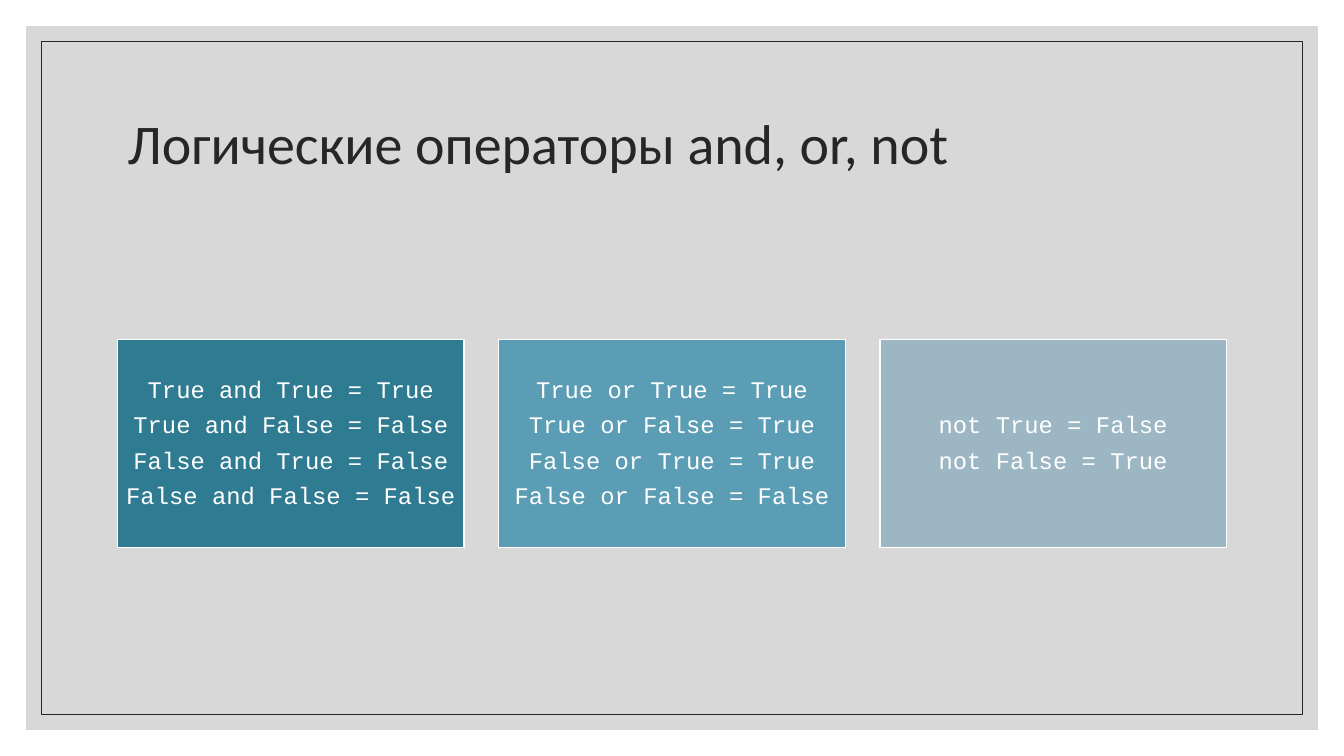
from lxml import etree
from pptx import Presentation
from pptx.dml.color import RGBColor
from pptx.enum.shapes import MSO_SHAPE as Shape
from pptx.enum.text import MSO_ANCHOR as Anchor, MSO_AUTO_SIZE as AutoSize, PP_ALIGN as Align
from pptx.oxml.ns import qn
from pptx.util import Pt

WHITE = RGBColor(0xFF, 0xFF, 0xFF)
INK = RGBColor(0x26, 0x26, 0x26)
GRAY = RGBColor(0xBF, 0xBF, 0xBF)
TEAL = RGBColor(0x2F, 0x7B, 0x91)
BLUE = RGBColor(0x5B, 0x9D, 0xB5)
MIST = RGBColor(0x9C, 0xB7, 0xC3)

WIDTH, HEIGHT = 960, 540
TITLE = "Логические операторы and, or, not"
OPERATORS = [
    (TEAL, ["True and True = True", "True and False = False",
            "False and True = False", "False and False = False"]),
    (BLUE, ["True or True = True", "True or False = True",
            "False or True = True", "False or False = False"]),
    (MIST, ["not True = False", "not False = True"]),
]
TITLE_FONT = {"name": "Calibri", "size": Pt(40)}
CODE_FONT = {"name": "Courier New", "size": Pt(17)}
TITLE_FRAME = {"word_wrap": True, "auto_size": AutoSize.NONE, "vertical_anchor": Anchor.MIDDLE}
CARD_FRAME = TITLE_FRAME | dict.fromkeys(
    ["margin_left", "margin_top", "margin_right", "margin_bottom"], Pt(5))
TITLE_PARAGRAPH = {"alignment": Align.LEFT, "line_spacing": 0.9}
CODE_PARAGRAPH = {"alignment": Align.CENTER, "line_spacing": 0.9, "space_after": Pt(7)}


def apply_format(target, values):
    """Set every attribute named in the format values."""
    for name, value in values.items():
        setattr(target, name, value)


def place(shape, box):
    """Move a shape to a box given in points."""
    apply_format(shape, dict(zip(("left", "top", "width", "height"), map(Pt, box))))


def add_rectangle(slide, box, fill=None, line=None, weight=1):
    """Add a flat rectangle with an optional fill and outline."""
    shape = slide.shapes.add_shape(Shape.RECTANGLE, *map(Pt, box))
    shape.shadow.inherit = False
    if fill is None:
        shape.fill.background()
    else:
        shape.fill.solid()
        shape.fill.fore_color.rgb = fill
    if line is None:
        shape.line.fill.background()
    else:
        shape.line.color.rgb = line
        shape.line.width = Pt(weight)
    return shape


def write_lines(text_frame, lines, paragraph_format, font_format, color):
    """Write each line as one formatted paragraph."""
    text_frame.text = "\n".join(lines)
    for paragraph in text_frame.paragraphs:
        apply_format(paragraph, paragraph_format)
        font = paragraph.runs[0].font
        apply_format(font, font_format)
        font.color.rgb = color


def add_backdrop(slide, box):
    """Draw the translucent panel and the thin frame inside it."""
    left, top, width, height = box
    inset = 10.9
    panel = add_rectangle(slide, box, fill=GRAY)
    color = panel.element.spPr.find(qn("a:solidFill")).find(qn("a:srgbClr"))
    etree.SubElement(color, qn("a:alpha")).set("val", "60000")
    inner = (left + inset, top + inset, width - 2 * inset, height - 2 * inset)
    add_rectangle(slide, inner, line=INK, weight=0.5)


def add_title(slide, box):
    """Place the title placeholder in front of the backdrop."""
    title = slide.shapes.title
    title.element.getparent().append(title.element)
    place(title, box)
    apply_format(title.text_frame, TITLE_FRAME)
    write_lines(title.text_frame, [TITLE], TITLE_PARAGRAPH, TITLE_FONT, INK)


def add_operator_cards(slide, box):
    """Spread one truth-table card per operator evenly over the box."""
    left, top, width, height = box
    gap = 24.75
    card_width = (width - gap * (len(OPERATORS) - 1)) / len(OPERATORS)
    for index, (color, lines) in enumerate(OPERATORS):
        card_box = (left + index * (card_width + gap), top, card_width, height)
        card = add_rectangle(slide, card_box, fill=color, line=WHITE)
        apply_format(card.text_frame, CARD_FRAME)
        write_lines(card.text_frame, lines, CODE_PARAGRAPH, CODE_FONT, WHITE)


def build_operators_slide(presentation):
    """Build the slide on logical operators."""
    slide = presentation.slides.add_slide(presentation.slide_layouts[5])
    margin = 18.7
    add_backdrop(slide, (margin, margin, WIDTH - 2 * margin, HEIGHT - 2 * margin))
    add_title(slide, (84, 50.4, 792, 108))
    add_operator_cards(slide, (84, 242.7, 792, 148.5))


def main():
    """Create and save the presentation."""
    presentation = Presentation()
    apply_format(presentation, {"slide_width": Pt(WIDTH), "slide_height": Pt(HEIGHT)})
    build_operators_slide(presentation)
    presentation.save("out.pptx")


if __name__ == "__main__":
    main()
